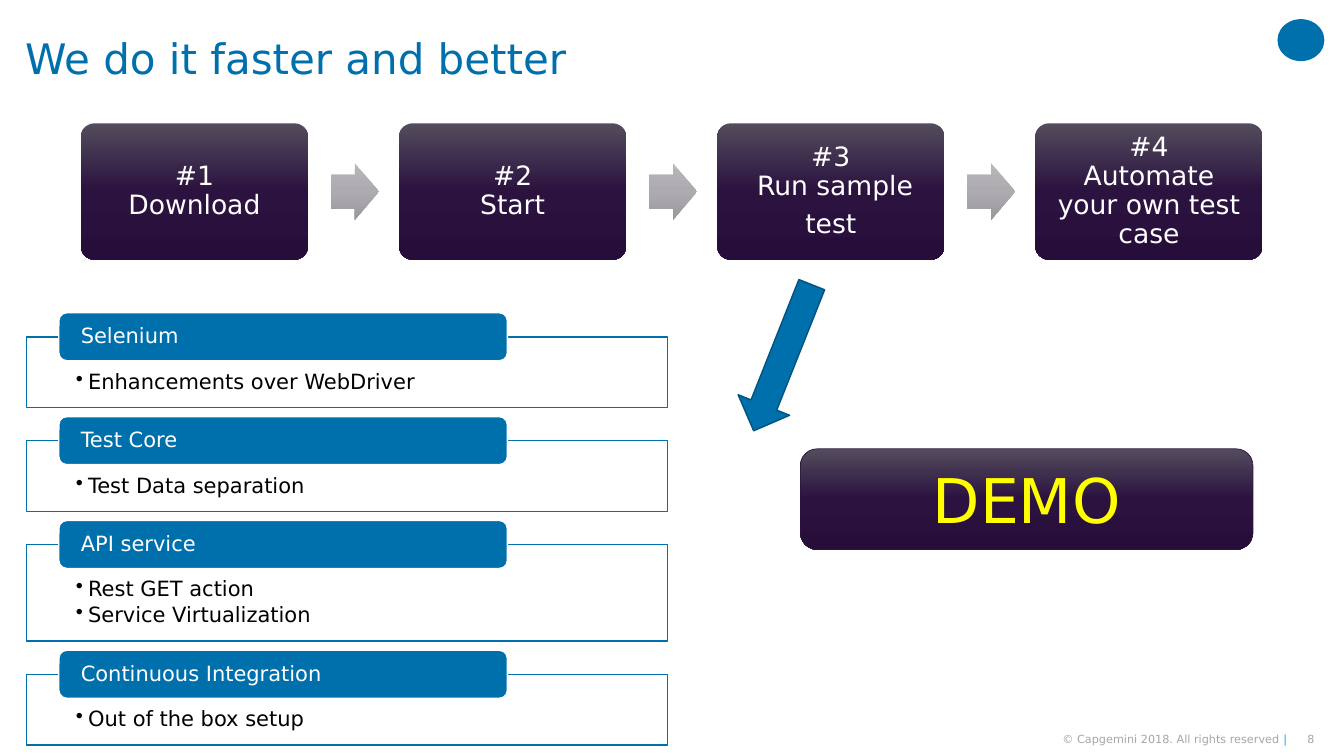
from copy import deepcopy

from lxml.etree import SubElement
from pptx import Presentation
from pptx.dml.color import RGBColor
from pptx.enum.shapes import MSO_SHAPE
from pptx.enum.text import MSO_ANCHOR, MSO_AUTO_SIZE, PP_ALIGN
from pptx.oxml.ns import qn
from pptx.util import Pt

FONT = "DejaVu Sans"
BLUE, WHITE, GREY = "0070AD", "FFFFFF", "A6A6A6"
PURPLES = ("534C5D", "2B123F", "270E3A")
GREYS = ("B7B5B9", "ADABAF", "9A989C")
STEPS = (
    ["#1\vDownload"],
    ["#2\vStart"],
    ["#3\v Run sample", "test"],
    ["#4\vAutomate your own test case"],
)
FEATURES = (
    ("Selenium", ["Enhancements over WebDriver"]),
    ("Test Core", ["Test Data separation"]),
    ("API service", ["Rest GET action", "Service Virtualization"]),
    ("Continuous Integration", ["Out of the box setup"]),
)


def rgb(value):
    """Turn a hex string into a colour."""
    return RGBColor.from_string(value)


def set_all(obj, values):
    """Set each attribute named in a dict."""
    for name, value in values.items():
        setattr(obj, name, value)


def format_run(r, size, color):
    """Give a run its font, size and colour."""
    set_all(r.font, {"name": FONT, "size": Pt(size), "bold": False})
    r.font.color.rgb = rgb(color)


def add_bullet(p):
    """Give a paragraph a hanging round bullet."""
    p.level = 1
    pPr = p._p.get_or_add_pPr()
    pPr.set("marL", str(Pt(8.64)))
    pPr.set("indent", str(Pt(-8.64)))
    SubElement(pPr, qn("a:buChar")).set("char", "•")


def write(sp, lines, size, color, align=PP_ALIGN.LEFT, anchor=MSO_ANCHOR.MIDDLE,
          margins=(0, 0, 0, 0), spacing=0.9, after=0, bullets=False):
    """Fill a shape with formatted paragraphs."""
    tf = sp.text_frame
    set_all(tf, {"word_wrap": True, "auto_size": MSO_AUTO_SIZE.NONE, "vertical_anchor": anchor})
    sides = ("margin_left", "margin_top", "margin_right", "margin_bottom")
    set_all(tf, dict(zip(sides, map(Pt, margins))))
    for i, line in enumerate(lines):
        p = tf.add_paragraph() if i else tf.paragraphs[0]
        p.text = line
        set_all(p, {"alignment": align, "line_spacing": spacing,
                    "space_before": Pt(0), "space_after": Pt(after)})
        if bullets:
            add_bullet(p)
        for r in p.runs:
            format_run(r, size, color)
    return tf


def add_box(slide, kind, frame, line=None, width=1, adjustments=()):
    """Add a preset shape without shadow."""
    sp = slide.shapes.add_shape(kind, *map(Pt, frame))
    sp.shadow.inherit = False
    for i, value in enumerate(adjustments):
        sp.adjustments[i] = value
    if line:
        sp.line.color.rgb = rgb(line)
        sp.line.width = Pt(width)
    else:
        sp.line.fill.background()
    return sp


def fill_solid(sp, color, opacity=100):
    """Fill a shape with one colour."""
    sp.fill.solid()
    sp.fill.fore_color.rgb = rgb(color)
    if opacity < 100:
        clr = sp._element.spPr.find(qn("a:solidFill"))[0]
        SubElement(clr, qn("a:alpha")).set("val", str(opacity * 1000))


def fill_gradient(sp, colors):
    """Fill a shape from top to bottom with three colours."""
    sp.fill.gradient()
    sp.fill.gradient_angle = 270
    stops = sp._element.xpath(".//a:gsLst")[0]
    stops.append(deepcopy(stops[0]))
    for i, (stop, color) in enumerate(zip(sp.fill.gradient_stops, colors)):
        stop.color.rgb = rgb(color)
        stop.position = i / 2


def add_title(slide, text):
    """Place and fill the title placeholder."""
    title = slide.shapes.title
    set_all(title, {"left": Pt(18), "top": Pt(0), "width": Pt(876), "height": Pt(87)})
    write(title, [text], 30, BLUE)


def add_steps(slide):
    """Draw the row of step cards with arrows between them."""
    for i, lines in enumerate(STEPS):
        x = 57.8 + i * 227.25
        card = add_box(slide, MSO_SHAPE.ROUNDED_RECTANGLE, (x, 88.1, 162.3, 97.4),
                       adjustments=[0.1])
        fill_gradient(card, PURPLES)
        write(card, lines, 19, WHITE, PP_ALIGN.CENTER, margins=[8.6] * 4, after=6.65)
        if i < len(STEPS) - 1:
            arrow = add_box(slide, MSO_SHAPE.RIGHT_ARROW, (x + 178.5, 116.7, 34.4, 40.2),
                            adjustments=[0.6, 0.5])
            fill_gradient(arrow, GREYS)


def add_features(slide):
    """Stack the feature panels, each with a header tab."""
    top = 240.6
    for name, items in FEATURES:
        height = 32 + 18.5 * len(items)
        panel = add_box(slide, MSO_SHAPE.RECTANGLE, (18.8, top, 458, height), BLUE)
        fill_solid(panel, WHITE, 90)
        write(panel, items, 15, "000000", anchor=MSO_ANCHOR.TOP,
              margins=(35.5, 24.5, 35.5, 8.6), after=2.25, bullets=True)
        tab = add_box(slide, MSO_SHAPE.ROUNDED_RECTANGLE, (42, top - 17.2, 320.4, 34.3), WHITE)
        fill_solid(tab, BLUE)
        write(tab, [name], 15, WHITE, margins=(14, 0, 14, 0))
        top += height + 23.7


def add_demo(slide):
    """Draw the demo button and the arrow leading to it."""
    demo = add_box(slide, MSO_SHAPE.ROUNDED_RECTANGLE, (571.7, 320.6, 323.3, 72), "2B143D", 0.5)
    fill_gradient(demo, PURPLES)
    write(demo, ["DEMO"], 44, "FFFF00", PP_ALIGN.CENTER, spacing=1.0)
    arrow = add_box(slide, MSO_SHAPE.DOWN_ARROW, (539.3, 199.4, 39.6, 112.3), "005380")
    arrow.rotation = 21.7
    fill_solid(arrow, BLUE)


def add_footer(slide):
    """Write the copyright line and the page number."""
    number = slide.shapes.add_textbox(*map(Pt, (925.2, 523.4, 13.7, 9.4)))
    write(number, ["8"], 8, GREY, PP_ALIGN.RIGHT, spacing=1.0)
    notice = slide.shapes.add_textbox(*map(Pt, (709.9, 523.4, 209.5, 9.4)))
    tf = write(notice, ["© Capgemini 2018. All rights reserved "], 8, GREY,
               PP_ALIGN.RIGHT, spacing=1.0)
    r = tf.paragraphs[0].add_run()
    r.text = "|"
    format_run(r, 8, "12ABDB")


def main():
    """Build the slide and save it."""
    prs = Presentation()
    prs.slide_width, prs.slide_height = Pt(960), Pt(540)
    slide = prs.slides.add_slide(prs.slide_layouts[5])
    badge = add_box(slide, MSO_SHAPE.OVAL, (912.5, 13.7, 33.5, 30))
    fill_solid(badge, BLUE)
    add_title(slide, "We do it faster and better")
    add_steps(slide)
    add_demo(slide)
    add_features(slide)
    add_footer(slide)
    prs.save("out.pptx")


if __name__ == "__main__":
    main()
